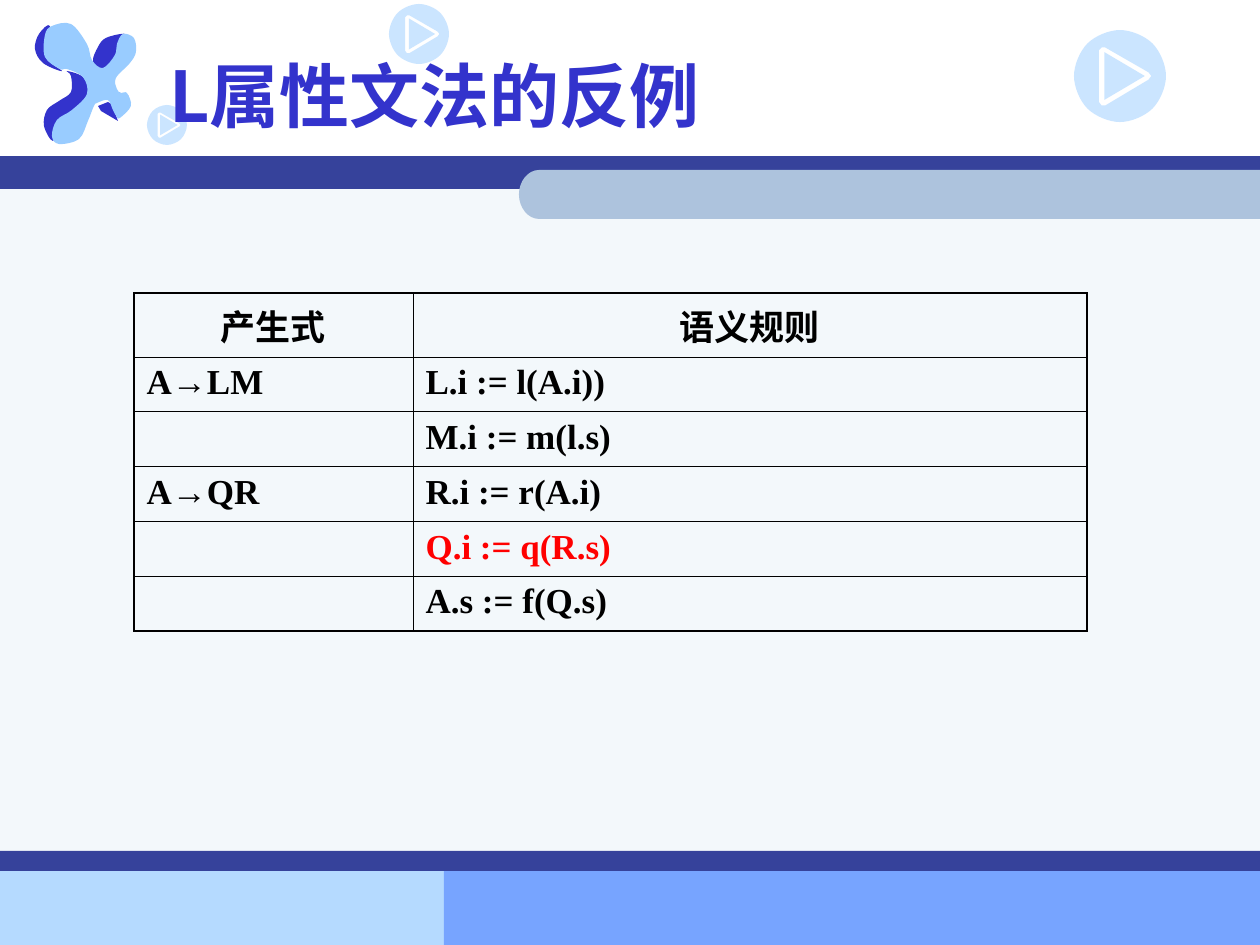
from math import cos, pi, sin

from lxml.etree import SubElement
from pptx import Presentation
from pptx.dml.color import RGBColor
from pptx.enum.shapes import MSO_SHAPE
from pptx.enum.text import MSO_ANCHOR, PP_ALIGN
from pptx.oxml import parse_xml
from pptx.oxml.ns import nsdecls, qn
from pptx.util import Pt

EMU_PER_PX = 914400 / 126
SLIDE_WIDTH, SLIDE_HEIGHT = 1260, 945
COLORS = {
    "navy": "36429B", "pale": "F3F8FB", "cap": "ADC3DD",
    "footer_light": "B5DAFF", "footer_blue": "77A4FF",
    "title": "3333CC", "splash": "99CCFF",
    "black": "000000", "red": "FF0000",
}
CJK_FONT, LATIN_FONT = "Noto Sans CJK SC", "Times New Roman"

# Anchor points of the splash ornament, relative to its own box.
SPLASH_SHADES = [
    [(12, 33), (15, 2), (4, 10), (0, 25), (8, 39), (27, 47)],
    [(23, 99), (38, 89), (53, 73), (49, 54), (32, 47), (36, 52), (36, 68),
     (24, 77), (12, 86), (9, 102), (18, 117)],
    [(70, 45), (81, 31), (83, 20), (90, 10), (71, 14), (63, 23), (58, 38)],
]
SPLASH_CHIPS = [
    [(80, 89), (78, 81), (73, 78), (63, 82), (66, 87), (83, 97)],
    [(86, 72), (94, 72), (83, 68)],
]
SPLASH_FACE = [
    (95, 39), (101, 28), (99, 14), (88, 10), (82, 20), (80, 31), (68, 44),
    (57, 36), (52, 20), (36, 0), (17, 2), (10, 11), (10, 33), (25, 45),
    (32, 45), (48, 53), (52, 70), (37, 86), (22, 96), (17, 112), (24, 120),
    (44, 115), (53, 97), (59, 82), (62, 79), (73, 76), (78, 86), (82, 93),
    (85, 94), (96, 82), (92, 69), (86, 69), (82, 65), (81, 54),
]
# Triangle outlines as fractions of a badge's side.
TRIANGLE_OUTER = [(.27, .22), (.3, .19), (.34, .19), (.81, .46), (.84, .5),
                  (.81, .54), (.34, .82), (.3, .82), (.27, .78)]
TRIANGLE_INNER = [(.33, .24), (.77, .5), (.33, .76)]

TABLE_ROWS = [
    ("产生式", "语义规则"),
    ("A→LM", "L.i := l(A.i))"),
    ("", "M.i := m(l.s)"),
    ("A→QR", "R.i := r(A.i)"),
    ("", "Q.i := q(R.s)"),
    ("", "A.s := f(Q.s)"),
]
RED_RULE = "Q.i := q(R.s)"
ROW_EDGES = [0, 64, 118, 173, 228, 282, 337]


def px(length):
    return round(length * EMU_PER_PX)


def paint(shape, color):
    shape.shadow.inherit = False
    shape.fill.solid()
    shape.fill.fore_color.rgb = RGBColor.from_string(COLORS[color])
    shape.line.fill.background()


def add_band(slide, box, color):
    band = slide.shapes.add_shape(MSO_SHAPE.RECTANGLE, *map(px, box))
    paint(band, color)


def straight(points):
    """Return the points as a contour whose steps are all lines."""
    return [(point,) for point in points]


def smooth_loop(anchors):
    """Return a closed contour of Bezier steps through the anchors."""
    contour = [(anchors[0],)]
    count = len(anchors)
    for i in range(count):
        a, b, c, d = (anchors[(i + shift) % count] for shift in (-1, 0, 1, 2))
        leaving = tuple(q + (r - p) / 6 for p, q, r in zip(a, b, c))
        arriving = tuple(q - (r - p) / 6 for p, q, r in zip(b, c, d))
        contour.append((leaving, arriving, c))
    return contour


def add_outline(slide, left, top, contours, color):
    """Draw closed contours, whose steps are a line's end or a curve's three
    points, as one freeform offset by left and top."""
    placed = [[[(px(left + x), px(top + y)) for x, y in step]
               for step in contour] for contour in contours]
    builder = slide.shapes.build_freeform(*placed[0][0][-1])
    for index, contour in enumerate(placed):
        if index:
            builder.move_to(*contour[0][-1])
        builder.add_line_segments([step[-1] for step in contour[1:]])
    shape = builder.convert_to_shape()
    lines = shape._element.findall(".//" + qn("a:lnTo"))
    steps = [step for contour in placed for step in contour[1:]]
    for line, step in zip(lines, steps):
        if len(step) == 3:
            line.clear()
            line.tag = qn("a:cubicBezTo")
            for x, y in step:
                point = SubElement(line, qn("a:pt"))
                point.set("x", str(x - shape.left))
                point.set("y", str(y - shape.top))
    paint(shape, color)
    return shape


def add_splash(slide, left, top):
    shades = [smooth_loop(anchors) for anchors in SPLASH_SHADES]
    chips = [straight(points) for points in SPLASH_CHIPS]
    for contour in shades + chips:
        add_outline(slide, left, top, [contour], "title")
    add_outline(slide, left, top, [smooth_loop(SPLASH_FACE)], "splash")


def add_play_badge(slide, left, top, side):
    radius = side / 2
    circle = [(radius + radius * cos(i * pi / 4),
               radius + radius * sin(i * pi / 4)) for i in range(8)]
    triangles = [straight([(x * side, y * side) for x, y in triangle])
                 for triangle in (TRIANGLE_OUTER, TRIANGLE_INNER)]
    badge = add_outline(slide, left, top, [smooth_loop(circle), *triangles],
                        "splash")
    color = badge._element.spPr.find(qn("a:solidFill"))[0]
    SubElement(color, qn("a:alpha")).set("val", "50000")


def add_cap(slide, left, top, width, height):
    """Draw a band with a rounded left end."""
    end, bend, middle = 20, 9, height / 2
    contour = [
        ((width, 0),), ((end, 0),),
        ((bend, 0), (0, middle - 13), (0, middle)),
        ((0, middle + 13), (bend, height), (end, height)),
        ((width, height),), ((width, 0),),
    ]
    add_outline(slide, left, top, [contour], "cap")


def add_background(slide):
    add_band(slide, (0, 871, 536, 74), "footer_light")
    add_band(slide, (444, 871, SLIDE_WIDTH - 444, 74), "footer_blue")
    add_band(slide, (0, 176, SLIDE_WIDTH, 695), "pale")
    add_band(slide, (0, 156, SLIDE_WIDTH, 33), "navy")
    add_cap(slide, 519, 170, SLIDE_WIDTH - 519, 49)
    add_splash(slide, 35, 24)
    add_play_badge(slide, 389, 4, 60)
    add_play_badge(slide, 1074, 30, 92)
    add_band(slide, (0, 851, SLIDE_WIDTH, 20), "navy")
    add_play_badge(slide, 147, 105, 40)


def add_run(paragraph, text, size, font_name, color):
    run = paragraph.add_run()
    run.text = text
    font = run.font
    font.size, font.bold, font.name = Pt(size), True, font_name
    font.color.rgb = RGBColor.from_string(COLORS[color])
    if any("一" <= letter <= "龥" for letter in text):
        east_asian = SubElement(run._r.get_or_add_rPr(), qn("a:ea"))
        east_asian.set("typeface", CJK_FONT)


def add_title(slide, box):
    frame = slide.shapes.add_textbox(*map(px, box)).text_frame
    frame.word_wrap = True
    frame.vertical_anchor = MSO_ANCHOR.MIDDLE
    add_run(frame.paragraphs[0], "L属性文法的反例", 40, CJK_FONT, "title")


def set_borders(cell, widths):
    """Set the left, right, top and bottom border widths in points."""
    properties = cell._tc.get_or_add_tcPr()
    for index, (edge, width) in enumerate(zip("LRTB", widths)):
        properties.insert(index, parse_xml(
            f'<a:ln{edge} {nsdecls("a")} w="{Pt(width)}"><a:solidFill>'
            f'<a:srgbClr val="{COLORS["black"]}"/></a:solidFill></a:ln{edge}>'))


def add_rule_table(slide, left, top, column_widths):
    row_count, column_count = len(TABLE_ROWS), len(column_widths)
    box = (left, top, sum(column_widths), ROW_EDGES[-1])
    table = slide.shapes.add_table(
        row_count, column_count, *map(px, box)).table
    table.first_row = table.horz_banding = False
    for column, width in zip(table.columns, column_widths):
        column.width = px(width)
    for row, start, end in zip(table.rows, ROW_EDGES, ROW_EDGES[1:]):
        row.height = px(end - start)
    for i, texts in enumerate(TABLE_ROWS):
        for j, text in enumerate(texts):
            cell = table.cell(i, j)
            cell.fill.background()
            outer = (j == 0, j == column_count - 1, i == 0, i == row_count - 1)
            set_borders(cell, [1.08 if edge else 0.45 for edge in outer])
            if text:
                paragraph = cell.text_frame.paragraphs[0]
                paragraph.alignment = PP_ALIGN.LEFT if i else PP_ALIGN.CENTER
                add_run(paragraph, text, 20, LATIN_FONT,
                        "red" if text == RED_RULE else "black")


def main():
    presentation = Presentation()
    presentation.slide_width = px(SLIDE_WIDTH)
    presentation.slide_height = px(SLIDE_HEIGHT)
    slide = presentation.slides.add_slide(presentation.slide_layouts[6])
    add_background(slide)
    add_title(slide, (157, 21, 1071, 147))
    add_rule_table(slide, 134, 293, [279, 674])
    presentation.save("out.pptx")


if __name__ == "__main__":
    main()
